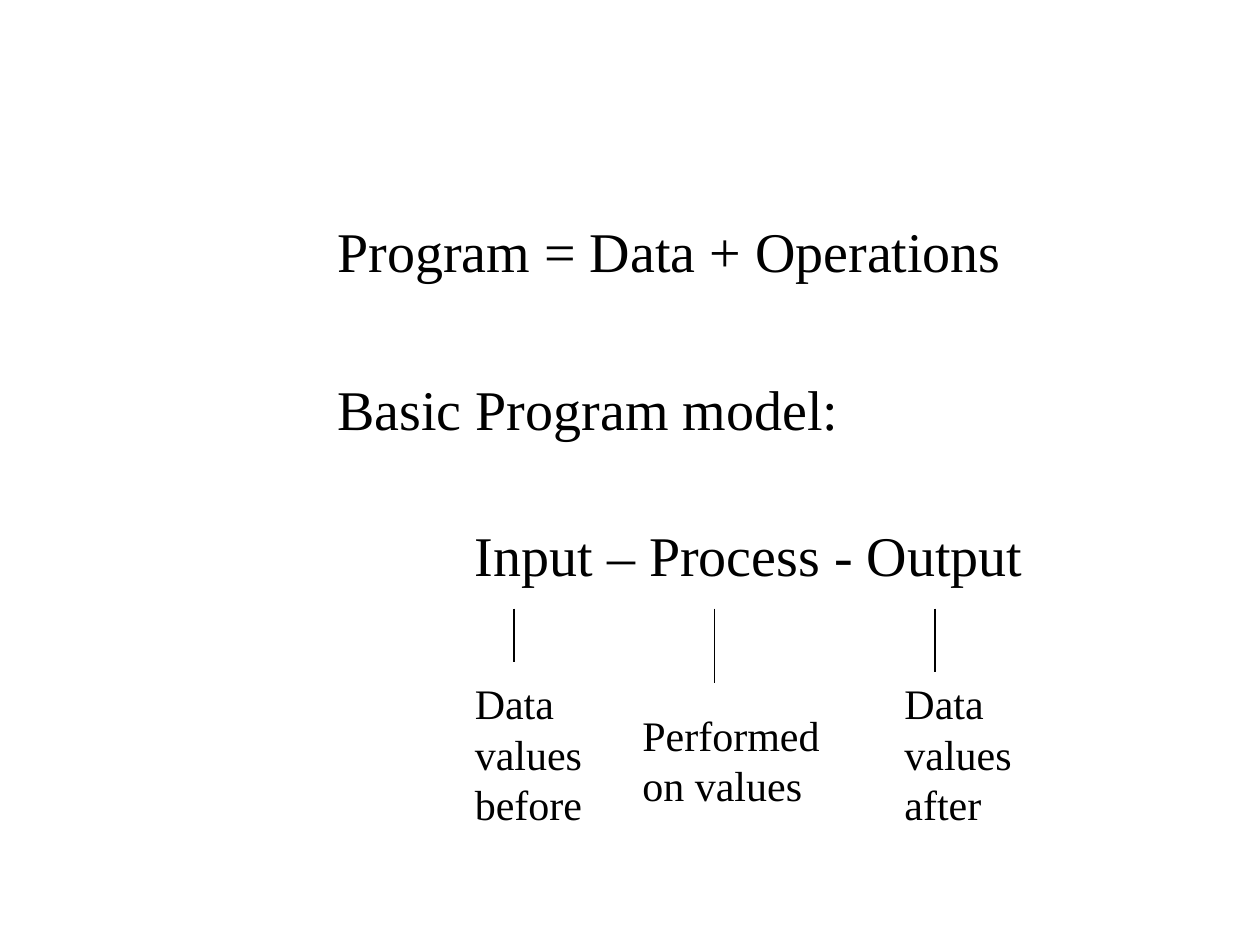
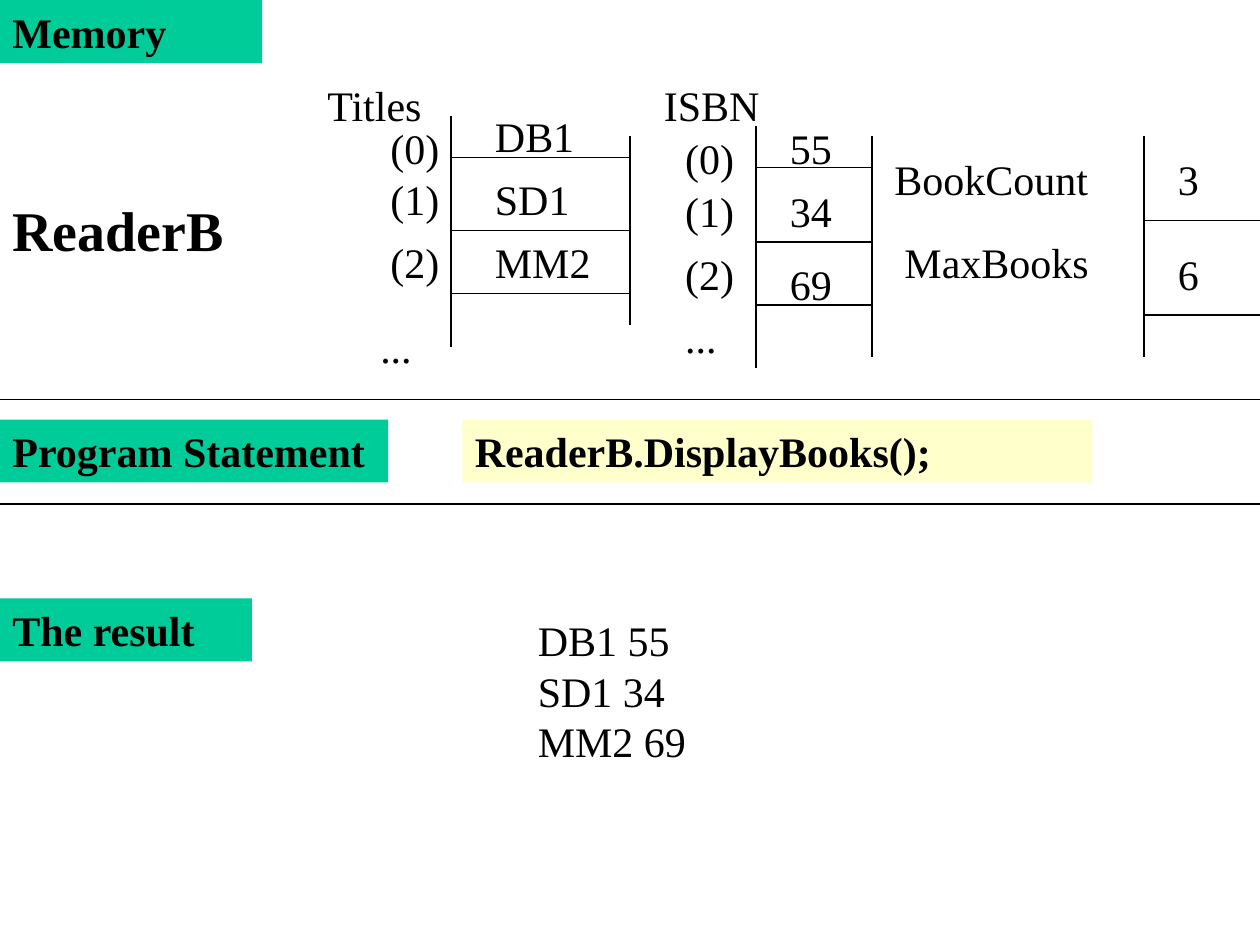
from dataclasses import dataclass

from lxml import etree
from pptx import Presentation
from pptx.dml.color import RGBColor
from pptx.enum.shapes import MSO_CONNECTOR, MSO_SHAPE
from pptx.enum.text import MSO_ANCHOR, MSO_AUTO_SIZE, PP_ALIGN
from pptx.oxml.ns import qn
from pptx.util import Inches, Pt

FONT = "Times New Roman"
BLACK = "000000"
GREEN = "00CC99"
CREAM = "FFFFCC"
HEADING_SIZE = 32
BODY_SIZE = 24
LINE_HEIGHT = 0.5
HEADING_HEIGHT = 0.64
PAGE_WIDTH = 10


@dataclass(frozen=True)
class Label:
    text: str
    left: float
    top: float
    width: float
    height: float = LINE_HEIGHT


@dataclass(frozen=True)
class ProgramStage:
    note: Label
    line_x: float
    line_bottom: float


@dataclass(frozen=True)
class MemoryColumn:
    """Stacked cells between two vertical sides, with rules below the cells."""
    left: float
    right: float
    top: float
    bottom: float
    rules: tuple[float, ...]
    right_side: tuple[float, float] | None
    labels: tuple[Label, ...]


def color(value: str) -> RGBColor:
    return RGBColor.from_string(value)


def add_text(slide, text: str, left: float, top: float, width: float,
             height: float = LINE_HEIGHT, *, size: int = BODY_SIZE,
             bold: bool = False, fill: str | None = None):
    """Add a text box, or a filled band when a fill is given."""
    box = [Inches(value) for value in (left, top, width, height)]
    if fill is None:
        shape = slide.shapes.add_textbox(*box)
    else:
        shape = slide.shapes.add_shape(MSO_SHAPE.RECTANGLE, *box)
        shape.shadow.inherit = False
        shape.fill.solid()
        shape.fill.fore_color.rgb = color(fill)
        shape.line.fill.background()
    frame = shape.text_frame
    frame.word_wrap = True
    frame.auto_size = MSO_AUTO_SIZE.SHAPE_TO_FIT_TEXT
    frame.vertical_anchor = MSO_ANCHOR.TOP
    frame.text = text
    for paragraph in frame.paragraphs:
        paragraph.alignment = PP_ALIGN.LEFT
        for run in paragraph.runs:
            run.font.name = FONT
            run.font.size = Pt(size)
            run.font.bold = bold
            run.font.color.rgb = color(BLACK)
    return shape


def add_label(slide, label: Label, **style) -> None:
    add_text(slide, label.text, label.left, label.top, label.width,
             label.height, **style)


def add_line(slide, x1: float, y1: float, x2: float, y2: float) -> None:
    line = slide.shapes.add_connector(
        MSO_CONNECTOR.STRAIGHT, Inches(x1), Inches(y1), Inches(x2), Inches(y2))
    line.line.color.rgb = color(BLACK)
    line.line.width = Pt(0.75)
    etree.SubElement(line._element.spPr, qn("a:effectLst"))


def add_memory_column(slide, column: MemoryColumn) -> None:
    add_line(slide, column.left, column.top, column.left, column.bottom)
    if column.right_side:
        top, bottom = column.right_side
        add_line(slide, column.right, top, column.right, bottom)
    for y in column.rules:
        add_line(slide, column.left, y, column.right, y)
    for label in column.labels:
        add_label(slide, label)


def stack(texts: tuple[str, ...], left: float, tops: tuple[float, ...],
          width: float) -> tuple[Label, ...]:
    return tuple(Label(text, left, top, width) for text, top in zip(texts, tops))


HEADINGS = (
    Label("Program = Data + Operations", 2.58, 1.67, 6.58, HEADING_HEIGHT),
    Label("Basic Program model:", 2.58, 2.92, 4.59, HEADING_HEIGHT),
    Label("Input – Process - Output", 3.67, 4.08, 5.29, HEADING_HEIGHT),
)
STAGE_LINE_TOP = 4.83
STAGES = (
    ProgramStage(Label("Data values before", 3.67, 5.33, 1.33, 1.3), 4.08, 5.25),
    ProgramStage(Label("Performed on values", 5, 5.58, 1.83, 0.9), 5.67, 5.42),
    ProgramStage(Label("Data values after", 7.08, 5.33, 1.17, 1.3), 7.42, 5.33),
)

INDEXES = ("(0)", "(1)", "(2)", "...")
MEMORY_COLUMNS = (
    MemoryColumn(3.58, 5, 0.92, 2.75, (1.25, 1.83, 2.33), (1.08, 2.58), (
        Label("Titles", 2.5, 0.58, 1.25),
        *stack(INDEXES[:3], 3, (0.92, 1.33, 1.83), 0.67),
        Label(INDEXES[3], 2.92, 2.5, 0.5),
        *stack(("DB1", "SD1", "MM2"), 3.83, (0.83, 1.33, 1.83), 1.17))),
    MemoryColumn(6, 6.92, 1, 2.92, (1.33, 1.92, 2.42), (1.08, 2.83), (
        Label("ISBN", 5.17, 0.58, 1.08),
        *stack(INDEXES, 5.34, (1, 1.42, 1.92, 2.42), 0.67),
        *stack(("55", "34", "69"), 6.17, (0.92, 1.42, 2), 0.67))),
    MemoryColumn(9.08, PAGE_WIDTH, 1.08, 2.83, (1.75, 2.5), None, (
        Label("BookCount", 7, 1.17, 2.17),
        Label("MaxBooks", 7.08, 1.83, 1.75),
        *stack(("3", "6"), 9.25, (1.17, 1.92), 0.75))),
)
SECTIONS = (
    Label("Memory", 0, 0, 2.08),
    Label("Program Statement", 0, 3.33, 3.08),
    Label("The result", 0, 4.75, 2),
)
SECTION_DIVIDERS = (3.17, 4)


def build_program_model(slide) -> None:
    for heading in HEADINGS:
        add_label(slide, heading, size=HEADING_SIZE)
    for stage in STAGES:
        add_label(slide, stage.note)
        add_line(slide, stage.line_x, STAGE_LINE_TOP,
                 stage.line_x, stage.line_bottom)


def build_display_books(slide) -> None:
    # Memory contents of the object
    add_text(slide, "ReaderB", 0, 1.5, 2.33, HEADING_HEIGHT,
             size=HEADING_SIZE, bold=True)
    for column in MEMORY_COLUMNS:
        add_memory_column(slide, column)

    # Statement and its result
    add_text(slide, "ReaderB.DisplayBooks();", 3.67, 3.33, 5,
             bold=True, fill=CREAM)
    add_text(slide, "DB1 55\nSD1 34\nMM2 69", 4.17, 4.83, 1.5, 1.3)

    # Section bands and dividers
    for section in SECTIONS:
        add_label(slide, section, bold=True, fill=GREEN)
    for y in SECTION_DIVIDERS:
        add_line(slide, 0, y, PAGE_WIDTH, y)


def main() -> None:
    presentation = Presentation()
    presentation.slide_width = Inches(PAGE_WIDTH)
    presentation.slide_height = Inches(7.5)
    blank = presentation.slide_layouts[6]
    for build in (build_program_model, build_display_books):
        build(presentation.slides.add_slide(blank))
    presentation.save("out.pptx")


if __name__ == "__main__":
    main()
